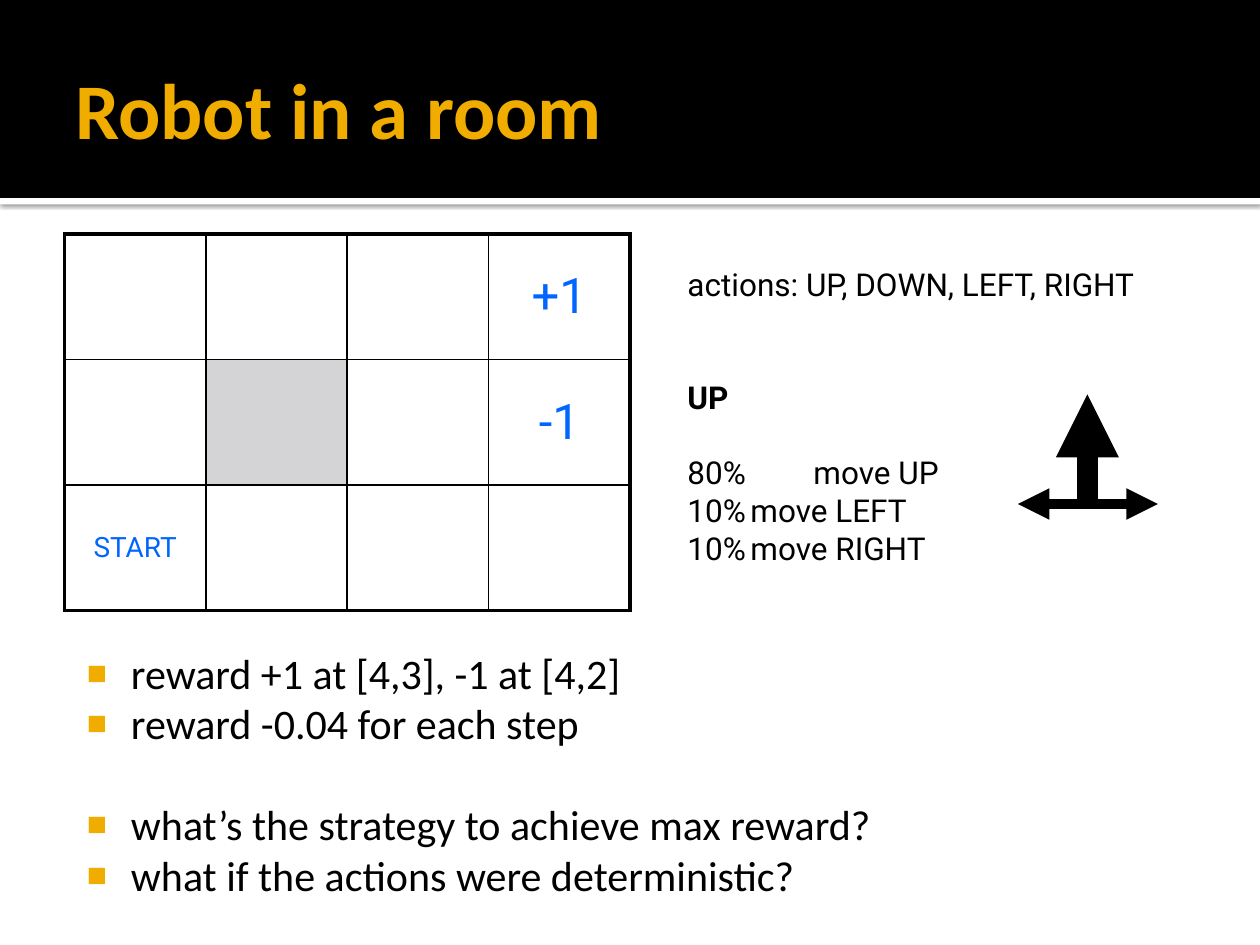
"""Build the "Robot in a room" slide."""
from dataclasses import dataclass

from lxml import etree
from pptx import Presentation
from pptx.dml.color import RGBColor
from pptx.enum.shapes import MSO_CONNECTOR, MSO_SHAPE
from pptx.enum.text import MSO_ANCHOR, MSO_AUTO_SIZE, PP_ALIGN
from pptx.oxml.ns import qn
from pptx.util import Cm, Pt

STRAIGHT = MSO_CONNECTOR.STRAIGHT
RECTANGLE = MSO_SHAPE.RECTANGLE
MIDDLE = MSO_ANCHOR.MIDDLE
TOP = MSO_ANCHOR.TOP
NO_AUTOFIT = MSO_AUTO_SIZE.NONE
LEFT = PP_ALIGN.LEFT
CENTER = PP_ALIGN.CENTER

BLACK, WHITE, GOLD, BLUE, GREY = "000000", "FFFFFF", "F0AD00", "0066FF", "D4D4D6"
HEADING_FONT, LABEL_FONT = "Calibri", "Roboto"
ROWS, COLUMNS = 3, 4
THICK, THIN = 2.25, 1


@dataclass
class Line:
    text: str
    space_before: float = 0
    bold: bool = False


@dataclass
class Label:
    row: int
    column: int
    text: str
    size: int


@dataclass
class Arrow:
    start: tuple[float, float]
    end: tuple[float, float]
    width: int


LABELS = [Label(0, 3, "+1", 28), Label(1, 3, "-1", 28), Label(2, 0, "START", 16)]
WALL = (1, 1)
ARROWS = [
    Arrow((21.92, 10.16), (21.92, 7.95), 12),
    Arrow((21.92, 10.16), (23.34, 10.16), 6),
    Arrow((22.12, 10.16), (20.52, 10.16), 6),
]
ACTIONS = [
    Line("actions: UP, DOWN, LEFT, RIGHT"),
    Line("UP", 43, True),
    Line("80% \tmove UP", 21.5),
    Line("10%\tmove LEFT"),
    Line("10%\tmove RIGHT"),
]
QUESTIONS = [
    Line("reward +1 at [4,3], -1 at [4,2]"),
    Line("reward -0.04 for each step"),
    Line("what’s the strategy to achieve max reward?", 29),
    Line("what if the actions were deterministic?"),
]


def color(value: str) -> RGBColor:
    return RGBColor.from_string(value)


def add_child(parent, tag: str, **attributes):
    return etree.SubElement(parent, qn(tag), {key: str(value) for key, value in attributes.items()})


def style(paragraph, name: str, size: float, value: str, bold: bool = False) -> None:
    font = paragraph.font
    font.name, font.size, font.bold = name, Pt(size), bold
    font.color.rgb = color(value)


def place(shape, left: float, top: float, width: float, height: float) -> None:
    shape.left, shape.top, shape.width, shape.height = Cm(left), Cm(top), Cm(width), Cm(height)


def set_margins(frame, left: float, top: float, right: float, bottom: float) -> None:
    frame.margin_left, frame.margin_top = Cm(left), Cm(top)
    frame.margin_right, frame.margin_bottom = Cm(right), Cm(bottom)


def add_band(slide, top: float, height: float, fill: str):
    band = slide.shapes.add_shape(RECTANGLE, 0, Cm(top), Cm(25.4), Cm(height))
    band.shadow.inherit = False
    band.fill.solid()
    band.fill.fore_color.rgb = color(fill)
    band.line.fill.background()
    slide.shapes.title.element.addprevious(band.element)
    return band


def add_header(slide) -> None:
    strip = add_band(slide, 3.99, 0.13, WHITE)
    effects = strip.element.spPr.find(qn("a:effectLst"))
    shadow = add_child(effects, "a:outerShdw", blurRad=Pt(2.5), dist=Pt(0.8), dir=5400000, rotWithShape=0)
    add_child(add_child(shadow, "a:srgbClr", val=BLACK), "a:alpha", val=60000)
    add_band(slide, 0, 3.99, BLACK)
    title = slide.shapes.title
    place(title, 1.27, 0.43, 22.86, 3.48)
    title.text = "Robot in a room"
    frame = title.text_frame
    frame.vertical_anchor = MIDDLE
    set_margins(frame, 0.25, 0.13, 0.13, 0.13)
    paragraph = frame.paragraphs[0]
    paragraph.alignment = LEFT
    style(paragraph, HEADING_FONT, 45, GOLD, True)


def set_borders(cell, row: int, column: int) -> None:
    outer_edges = {
        "a:lnL": column == 0,
        "a:lnR": column == COLUMNS - 1,
        "a:lnT": row == 0,
        "a:lnB": row == ROWS - 1,
    }
    properties = cell._tc.get_or_add_tcPr()
    for tag, is_outer in outer_edges.items():
        border = add_child(properties, tag, w=Pt(THICK if is_outer else THIN))
        add_child(add_child(border, "a:solidFill"), "a:srgbClr", val=BLACK)


def add_room(slide) -> None:
    frame = slide.shapes.add_table(ROWS, COLUMNS, Cm(1.3), Cm(4.72), Cm(11.4), Cm(7.59))
    table = frame.table
    table.first_row = table.horz_banding = False
    for row in range(ROWS):
        for column in range(COLUMNS):
            cell = table.cell(row, column)
            set_borders(cell, row, column)
            cell.fill.solid()
            cell.fill.fore_color.rgb = color(GREY if (row, column) == WALL else WHITE)
    for label in LABELS:
        cell = table.cell(label.row, label.column)
        cell.text = label.text
        cell.vertical_anchor = MIDDLE
        paragraph = cell.text_frame.paragraphs[0]
        paragraph.alignment = CENTER
        style(paragraph, LABEL_FONT, label.size, BLUE)


def add_arrow(group, arrow: Arrow) -> None:
    points = [Cm(value) for value in arrow.start + arrow.end]
    connector = group.shapes.add_connector(STRAIGHT, *points)
    connector.line.width = Pt(arrow.width)
    connector.line.color.rgb = color(BLACK)
    add_child(connector.line._get_or_add_ln(), "a:tailEnd", type="triangle")
    add_child(connector.element.spPr, "a:effectLst")


def add_tabs(properties) -> None:
    tabs = add_child(properties, "a:tabLst")
    for position in (1.27, 2.54):
        add_child(tabs, "a:tab", pos=Cm(position), algn="l")


def add_bullet(properties) -> None:
    properties.set("marL", str(Cm(1.22)))
    properties.set("indent", str(Cm(-0.89)))
    add_child(add_child(properties, "a:buClr"), "a:srgbClr", val=GOLD)
    add_child(properties, "a:buSzPct", val=80000)
    add_child(properties, "a:buFont", typeface="Arial")
    add_child(properties, "a:buChar", char="■")


def write_lines(frame, lines: list[Line], name: str, size: float, decorate) -> None:
    frame.word_wrap = True
    frame.auto_size = NO_AUTOFIT
    frame.vertical_anchor = TOP
    frame.text = "\n".join(line.text for line in lines)
    for paragraph, line in zip(frame.paragraphs, lines):
        decorate(paragraph._p.get_or_add_pPr())
        paragraph.space_before = Pt(line.space_before)
        style(paragraph, name, size, BLACK, line.bold)


def main() -> None:
    presentation = Presentation()
    presentation.slide_width, presentation.slide_height = Cm(25.4), Cm(19.05)
    slide = presentation.slides.add_slide(presentation.slide_layouts[1])
    add_header(slide)
    add_room(slide)
    group = slide.shapes.add_group_shape()
    for arrow in ARROWS:
        add_arrow(group, arrow)
    actions = slide.shapes.add_textbox(Cm(13.61), Cm(5.21), Cm(10.72), Cm(6.35))
    write_lines(actions.text_frame, ACTIONS, LABEL_FONT, 18, add_tabs)
    body = slide.placeholders[1]
    place(body, 1.27, 12.8, 22.86, 6.73)
    set_margins(body.text_frame, 0.15, 0.25, 0.25, 0.13)
    write_lines(body.text_frame, QUESTIONS, HEADING_FONT, 24, add_bullet)
    presentation.save("out.pptx")


if __name__ == "__main__":
    main()
